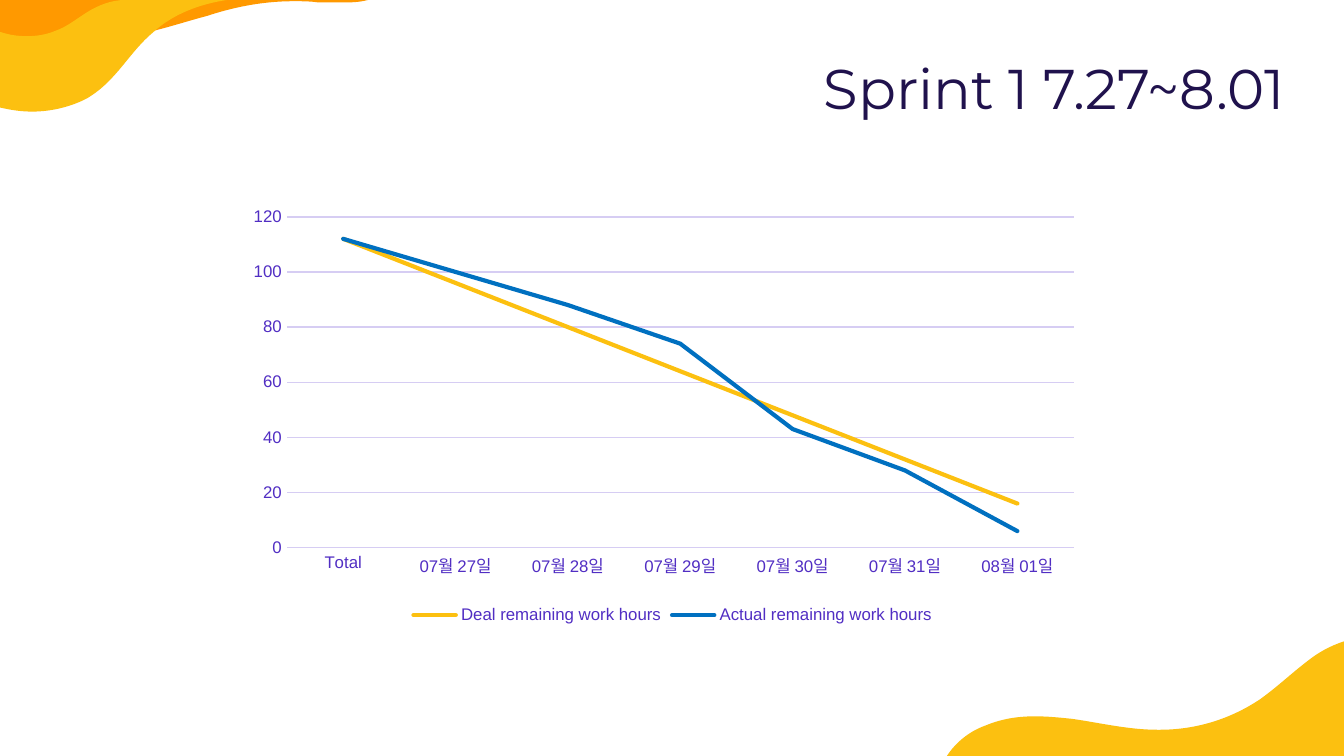
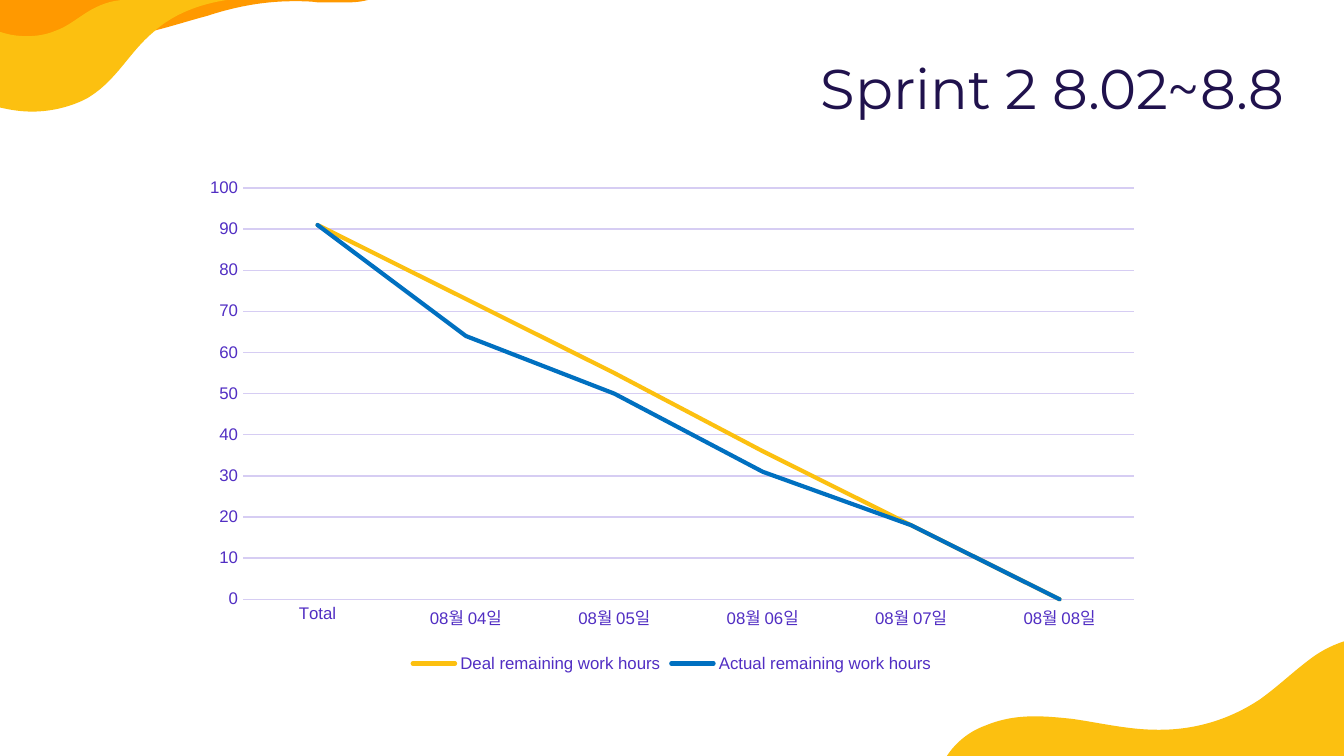
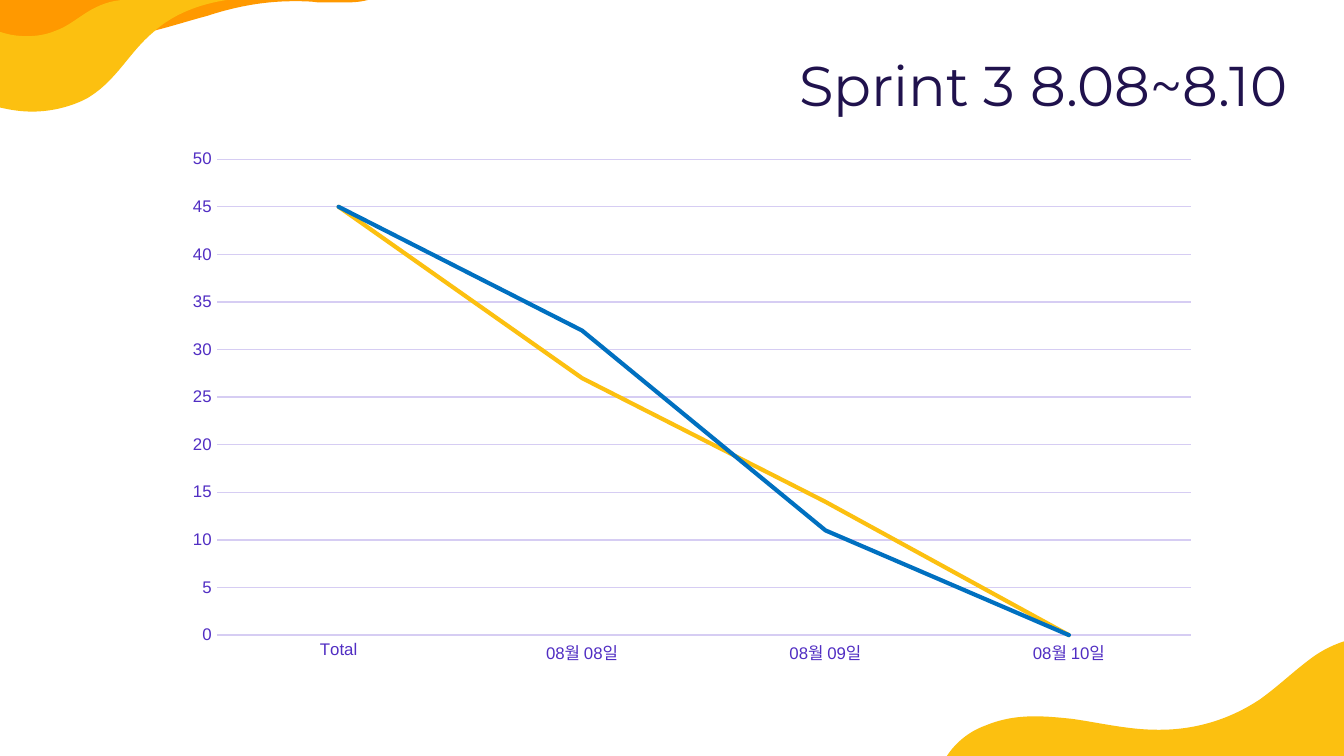
from pptx import Presentation
from pptx import oxml
from pptx.chart import data
from pptx.dml.color import RGBColor
from pptx.enum import chart as ch, text
from pptx.oxml import ns
from pptx.util import Pt

# Style
GOLD = RGBColor(0xFC, 0xC0, 0x10)
ORANGE = RGBColor(0xFF, 0x99, 0x00)
BLUE = RGBColor(0x00, 0x70, 0xC0)
NAVY = RGBColor(0x20, 0x12, 0x4D)
VIOLET = RGBColor(0x51, 0x2E, 0xC3)
LILAC = RGBColor(0xD6, 0xCD, 0xF3)
WIDE, HIGH = 720, 405

# Corner waves in points: a pair is a corner, six numbers are a Bezier curve
WAVES = [
    (GOLD, [(726.5, 342), (718.6, 343.4, 710.6, 347, 704.2, 351.4),
            (694.1, 358.6, 685.4, 367.2, 675.4, 374.4),
            (659.5, 385.2, 640.8, 391, 621.4, 391),
            (620.6, 391, 620.6, 391, 619.9, 391),
            (604.8, 391, 589.7, 387.4, 574.6, 385.2),
            (568, 384.5, 561.6, 383.8, 554.4, 383.8),
            (545, 383.8, 536.4, 385.2, 527.8, 388.8),
            (517.7, 392.4, 509, 400.3, 504.7, 409.7), (726.5, 409.7)]),
    (ORANGE, [(0, -9.4), (0, 20.2), (0, 20.2, 0.7, 20.2, 0.7, 20.2),
              (11.5, 21.6, 22.3, 22.3, 33.8, 22.3),
              (46.1, 22.3, 58.3, 21.6, 69.1, 19.4),
              (85, 16.6, 97.2, 12.2, 110.9, 8.6),
              (123.8, 4.3, 139.7, 0.7, 157, 0.7),
              (157.7, 0.7, 158.4, 0.7, 158.4, 0.7),
              (162.7, 0.7, 166.3, 0.7, 170.6, 1.4),
              (174.2, 1.4, 177.8, 1.4, 182.2, 1.4),
              (187.2, 1.4, 192.2, 1.4, 197.3, 0),
              (205.9, -1.4, 210.2, -5.8, 206.6, -9.4)]),
    (GOLD, [(87.8, -9.4), (89.3, -6.5, 87.8, -2.2, 84.2, -0.7),
            (82.1, 0, 79.9, 0, 77.8, 0), (75.6, 0, 74.2, 0, 72.7, 0),
            (70.6, 0, 69.1, 0, 67.7, 0), (67.7, 0, 67, 0, 67, 0),
            (59.8, 0, 52.6, 2.9, 46.8, 6.5),
            (41, 10.1, 36, 14.4, 29.5, 16.6),
            (24.5, 18.7, 19.4, 19.4, 14.4, 19.4),
            (9.4, 19.4, 5, 18.7, 0.7, 17.3),
            (0, 17.3, 0, 17.3, 0, 17.3), (0, 57.6),
            (5.8, 59, 11.5, 59.8, 17.3, 59.8),
            (28.1, 59.8, 38.9, 56.9, 46.8, 52.6),
            (62.6, 43.2, 69.1, 28.1, 82.1, 17.3),
            (92.2, 7.9, 106.6, 2.2, 121.7, 0),
            (128.9, -1.4, 136.1, -1.4, 142.6, -3.6),
            (146.9, -5, 150.5, -6.5, 153.4, -9.4)]),
]

# Burndown charts
NAMES = ("Deal remaining work hours", "Actual remaining work hours")
SPRINTS = [
    dict(head="Sprint 1 7.27~8.01", spot=(407.5, 0, 288, 72),
         area=(129.6, 100.1, 461.5, 237.6), plot=(24.2, 16.1, 421.4, 177.3),
         cats=["Total", "07월 27일", "07월 28일", "07월 29일", "07월 30일",
               "07월 31일", "08월 01일"],
         names=NAMES, legend=True, top=120, step=20,
         rows=[(112, 96, 80, 64, 48, 32, 16), (112, 100, 88, 74, 43, 28, 6)]),
    dict(head="Sprint 2 8.02~8.8", spot=(373, 0, 322.5, 72),
         area=(102.2, 90, 515.5, 273.6), plot=None,
         cats=["Total", "08월 04일", "08월 05일", "08월 06일", "08월 07일",
               "08월 08일"],
         names=NAMES, legend=True, top=100, step=10,
         rows=[(91, 73, 55, 36, 18, 0), (91, 64, 50, 31, 18, 0)]),
    dict(head="Sprint 3 8.08~8.10", spot=(396, -1.8, 301, 72),
         area=(81.6, 70.4, 556.6, 292.3), plot=(34.7, 14.9, 522, 255),
         cats=["Total", "08월 08일", "08월 09일", "08월 10일"],
         names=("Series 1", "Series 2"), legend=False, top=50, step=5,
         rows=[(45, 27, 14, 0), (45, 32, 11, 0)]),
]


class Deck:
    def __init__(self):
        self.prs = Presentation()
        self.prs.slide_width, self.prs.slide_height = Pt(WIDE), Pt(HIGH)
        self.base = self.prs.slide_layouts[5]
        self.slide = None
        # Keep only the title on the shared layout
        for hold in list(self.base.placeholders):
            if hold.placeholder_format.idx:
                hold._element.getparent().remove(hold._element)

    def add(self):
        self.slide = self.prs.slides.add_slide(self.base)

    def wave(self, color, parts):
        """Draw a wave and hand it to the shared layout."""
        dots = [(Pt(x), Pt(y)) for part in parts
                for x, y in zip(part[::2], part[1::2])]
        pen = self.slide.shapes.build_freeform(*dots[0], scale=1.0)
        pen.add_line_segments(dots[1:], close=True)
        form = pen.convert_to_shape()
        self.bend(form, parts)
        form.shadow.inherit = False
        form.fill.solid()
        form.fill.fore_color.rgb = color
        form.line.fill.background()
        tree = self.base.shapes._spTree
        tree.insert_element_before(form._element, "p:extLst")

    def bend(self, form, parts):
        """Join each three line segments of a curve into one Bezier."""
        legs = iter(list(form._element.iter(ns.qn("a:lnTo"))))
        for part in parts[1:]:
            leg = next(legs)
            if len(part) == 2:
                continue
            curve = oxml.parse_xml(f'<a:cubicBezTo {ns.nsdecls("a")}/>')
            leg.addprevious(curve)
            for each in (leg, next(legs), next(legs)):
                curve.append(each[0])
                each.getparent().remove(each)

    def font(self, font, size, color, name="Arial"):
        font.size, font.name, font.bold = Pt(size), name, False
        font.color.rgb = color

    def title(self, words, spot):
        box = self.slide.shapes.title
        box.left, box.top, box.width, box.height = map(Pt, spot)
        frame = box.text_frame
        frame.auto_size = text.MSO_AUTO_SIZE.NONE
        frame.word_wrap = True
        frame.vertical_anchor = text.MSO_ANCHOR.BOTTOM
        frame.margin_left = frame.margin_right = Pt(7.2)
        frame.margin_top = frame.margin_bottom = Pt(7.2)
        para = frame.paragraphs[0]
        para.alignment = text.PP_ALIGN.RIGHT
        run = para.add_run()
        run.text = words
        self.font(run.font, 30, NAVY, "Montserrat")

    def chart(self, area, plot, cats, names, rows, legend, top, step):
        info = data.CategoryChartData()
        info.categories = cats
        for name, row in zip(names, rows):
            info.add_series(name, row)
        chart = self.slide.shapes.add_chart(
            ch.XL_CHART_TYPE.LINE, *map(Pt, area), info).chart
        self.font(chart.font, 10, NAVY)
        chart.has_title = False
        chart.plots[0].vary_by_categories = False
        for line, color in zip(chart.plots[0].series, (GOLD, BLUE)):
            line.smooth = False
            self.stroke(line.format.line, color, 2.25)
            line.format.line._get_or_add_ln().set("cap", "rnd")
            line.marker.style = ch.XL_MARKER_STYLE.NONE

        # Axes and grid
        for axis in (chart.category_axis, chart.value_axis):
            axis.major_tick_mark = axis.minor_tick_mark = ch.XL_TICK_MARK.NONE
            self.font(axis.tick_labels.font, 9, VIOLET)
        self.stroke(chart.category_axis.format.line, LILAC, 0.75)
        axis = chart.value_axis
        axis.minimum_scale, axis.maximum_scale = 0, top
        axis.major_unit = step
        axis.has_major_gridlines = True
        axis.format.line.fill.background()
        self.stroke(axis.major_gridlines.format.line, LILAC, 0.75)

        # Legend
        chart.has_legend = legend
        if legend:
            chart.legend.position = ch.XL_LEGEND_POSITION.BOTTOM
            chart.legend.include_in_layout = False
            self.font(chart.legend.font, 9, VIOLET)
        if plot:
            self.place(chart, area, plot)

    def stroke(self, line, color, width):
        line.color.rgb = color
        line.width = Pt(width)

    def place(self, chart, area, plot):
        """Fix the inner plot area, given in points within the chart."""
        zone = chart._chartSpace.chart.plotArea
        for old in zone.findall(ns.qn("c:layout")):
            zone.remove(old)
        sizes = area[2:] * 2
        marks = '<c:xMode val="edge"/><c:yMode val="edge"/>' + "".join(
            f'<c:{tag} val="{part / size:.4f}"/>'
            for tag, part, size in zip("xywh", plot, sizes))
        zone.insert(0, oxml.parse_xml(
            f'<c:layout {ns.nsdecls("c")}><c:manualLayout>'
            f'<c:layoutTarget val="inner"/>{marks}'
            '</c:manualLayout></c:layout>'))


def main():
    deck = Deck()
    for i, sprint in enumerate(SPRINTS):
        deck.add()
        # Waves go to the layout once
        if i == 0:
            for color, parts in WAVES:
                deck.wave(color, parts)
        keys = dict(sprint)
        deck.title(keys.pop("head"), keys.pop("spot"))
        deck.chart(**keys)
    deck.prs.save("out.pptx")


if __name__ == "__main__":
    main()
